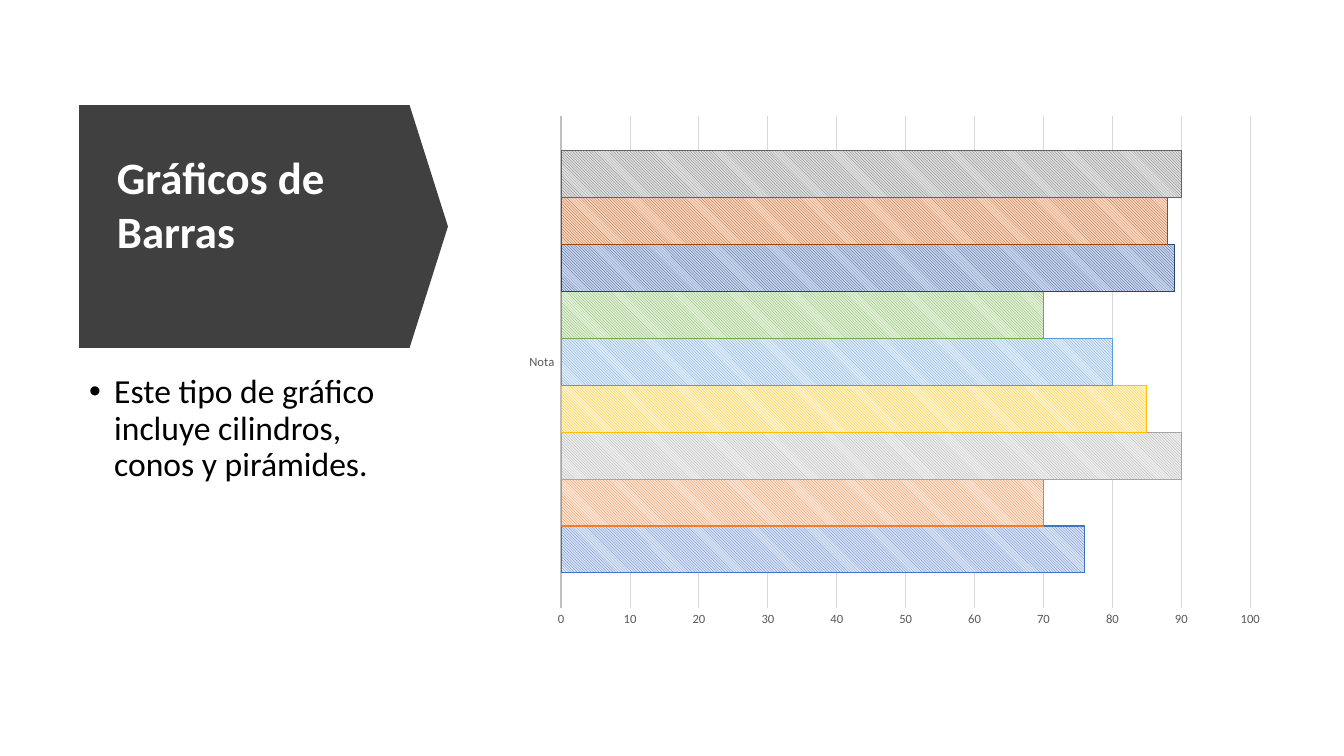
from dataclasses import dataclass

from lxml import etree
from pptx import Presentation
from pptx.chart.data import CategoryChartData
from pptx.dml.color import RGBColor
from pptx.enum.chart import XL_CHART_TYPE, XL_TICK_MARK
from pptx.enum.dml import MSO_PATTERN
from pptx.enum.shapes import MSO_SHAPE
from pptx.enum.text import MSO_ANCHOR, MSO_AUTO_SIZE, PP_ALIGN
from pptx.oxml.ns import qn
from pptx.util import Pt

BARS = XL_CHART_TYPE.BAR_CLUSTERED
NO_TICKS = XL_TICK_MARK.NONE
STRIPES = MSO_PATTERN.LIGHT_DOWNWARD_DIAGONAL
ARROW = MSO_SHAPE.DOWN_ARROW
MIDDLE, TOP = MSO_ANCHOR.MIDDLE, MSO_ANCHOR.TOP
NO_FIT = MSO_AUTO_SIZE.NONE
LEFT = PP_ALIGN.LEFT
TITLE_ONLY = 5
FONT = "Calibri"

COLORS = {
    "banner": "404040",
    "title": "FFFFFF",
    "body": "000000",
    "labels": "595959",
    "axis": "BFBFBF",
    "grid": "D9D9D9",
}


@dataclass(frozen=True)
class Grade:
    value: int
    stripe: str
    back: str


GRADES = [
    Grade(76, "4472C4", "DAE3F3"),
    Grade(70, "ED7D31", "FBE5D6"),
    Grade(90, "A5A5A5", "EDEDED"),
    Grade(85, "FFC000", "FFF2CC"),
    Grade(80, "5B9BD5", "DEEBF7"),
    Grade(70, "70AD47", "E2F0D9"),
    Grade(89, "264478", "CAD7EE"),
    Grade(88, "9E480E", "FAD8C1"),
    Grade(90, "636363", "E0E0E0"),
]


def rgb(name: str) -> RGBColor:
    return RGBColor.from_string(COLORS[name])


def apply(target, formats: dict) -> None:
    for attribute, value in formats.items():
        setattr(target, attribute, value)


def style_font(font, size: float, color: str, bold: bool = False) -> None:
    apply(font, {"name": FONT, "size": Pt(size), "bold": bold})
    font.color.rgb = rgb(color)


def style_line(line, color: RGBColor, width: float) -> None:
    line.color.rgb = color
    line.width = Pt(width)


def add_banner(slide):
    """Arrow turned to the right, behind the title."""
    banner = slide.shapes.add_shape(ARROW, Pt(101.5), Pt(30), Pt(173.5), Pt(263.5))
    banner.rotation = 270
    banner.adjustments[0] = 1
    banner.adjustments[1] = 0.158
    banner.shadow.inherit = False
    banner.fill.solid()
    banner.fill.fore_color.rgb = rgb("banner")
    banner.line.fill.background()
    return banner


def fill_title(title) -> None:
    apply(title, {"left": Pt(76.3), "top": Pt(95), "width": Pt(210.2), "height": Pt(140.4)})
    frame = title.text_frame
    # The deeper bottom inset lifts the text above the middle
    apply(frame, {"text": "Gráficos de Barras", "word_wrap": True, "auto_size": NO_FIT,
                  "vertical_anchor": MIDDLE, "margin_bottom": Pt(43)})
    paragraph = frame.paragraphs[0]
    paragraph.alignment = LEFT
    style_font(paragraph.runs[0].font, 32, "title", bold=True)


def add_description(slide) -> None:
    description = slide.shapes.add_textbox(Pt(56.5), Pt(264.2), Pt(229.7), Pt(190.8))
    frame = description.text_frame
    apply(frame, {"text": "Este tipo de gráfico incluye cilindros, conos y pirámides.",
                  "word_wrap": True, "auto_size": NO_FIT, "vertical_anchor": TOP})
    paragraph = frame.paragraphs[0]
    apply(paragraph, {"alignment": LEFT, "line_spacing": 0.9, "space_before": Pt(10)})
    style_font(paragraph.runs[0].font, 24, "body")
    # Hanging bullet
    properties = paragraph._p.get_or_add_pPr()
    properties.set("marL", str(Pt(18)))
    properties.set("indent", str(-Pt(18)))
    etree.SubElement(properties, qn("a:buFont")).set("typeface", "Arial")
    etree.SubElement(properties, qn("a:buChar")).set("char", "•")


def add_grades_chart(slide) -> None:
    data = CategoryChartData(number_format="0")
    data.categories = ["Nota "]
    for number, grade in enumerate(GRADES, 1):
        data.add_series(f"Series {number}", [grade.value])
    chart = slide.shapes.add_chart(BARS, Pt(367.2), Pt(75.1), Pt(543.6), Pt(380.2), data).chart
    apply(chart, {"has_legend": False, "has_title": False})
    style_font(chart.font, 10, "body")

    # Striped bars
    plot = chart.plots[0]
    apply(plot, {"gap_width": 150, "overlap": 0, "vary_by_categories": False})
    for series, grade in zip(plot.series, GRADES):
        stripe = RGBColor.from_string(grade.stripe)
        fill = series.format.fill
        fill.patterned()
        fill.pattern = STRIPES
        fill.fore_color.rgb = stripe
        fill.back_color.rgb = RGBColor.from_string(grade.back)
        style_line(series.format.line, stripe, 0.75)

    # Axes
    subjects, scale = chart.category_axis, chart.value_axis
    for axis in (subjects, scale):
        apply(axis, {"major_tick_mark": NO_TICKS, "minor_tick_mark": NO_TICKS})
        style_font(axis.tick_labels.font, 9, "labels")
    style_line(subjects.format.line, rgb("axis"), 1.5)
    apply(scale, {"minimum_scale": 0, "maximum_scale": 100, "major_unit": 10,
                  "has_major_gridlines": True})
    apply(scale.tick_labels, {"number_format": "0", "number_format_is_linked": False})
    scale.format.line.fill.background()
    style_line(scale.major_gridlines.format.line, rgb("grid"), 0.75)


def main() -> None:
    presentation = Presentation()
    apply(presentation, {"slide_width": Pt(960), "slide_height": Pt(540)})
    slide = presentation.slides.add_slide(presentation.slide_layouts[TITLE_ONLY])
    title = slide.shapes.title
    title.element.addprevious(add_banner(slide).element)
    fill_title(title)
    add_description(slide)
    add_grades_chart(slide)
    presentation.save("out.pptx")


if __name__ == "__main__":
    main()
